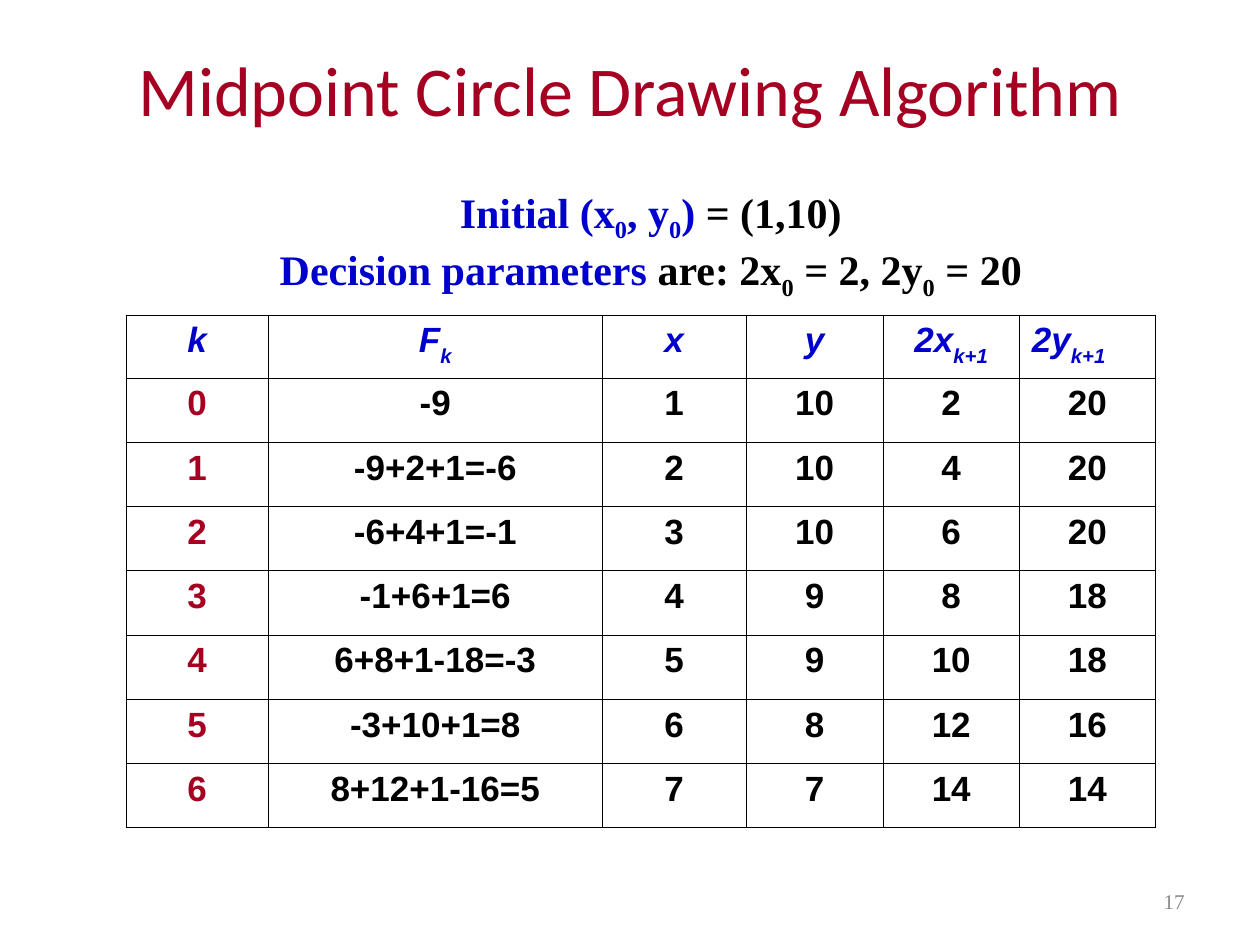
from dataclasses import dataclass
from lxml import etree
from pptx import Presentation
from pptx.dml.color import RGBColor
from pptx.enum.text import MSO_ANCHOR, PP_ALIGN
from pptx.oxml.ns import qn
from pptx.util import Inches, Pt

LEFT, CENTER, RIGHT = PP_ALIGN.LEFT, PP_ALIGN.CENTER, PP_ALIGN.RIGHT
TOP, MIDDLE = MSO_ANCHOR.TOP, MSO_ANCHOR.MIDDLE


@dataclass(frozen=True)
class Theme:
    red: str = "A50021"
    blue: str = "0000CC"
    black: str = "000000"
    gray: str = "898989"
    title_size: int = 40
    formula_size: int = 24
    table_size: int = 20
    number_size: int = 12
    title_font: str = "Calibri"
    text_font: str = "Times New Roman"
    table_font: str = "Arial"
    border_width: float = 0.45


theme = Theme()


def fill_paragraph(paragraph, pieces, font, size, align, bold=False, italic=False, drop=-25):
    """Write (text, colour) pieces; text between underscores is subscript."""
    paragraph.alignment = align
    paragraph.font.name = font
    paragraph.font.size = Pt(size)
    paragraph.font.bold = bold
    paragraph.font.italic = italic
    for text, color in pieces:
        for index, part in enumerate(text.split("_")):
            if not part:
                continue
            run = paragraph.add_run()
            run.text = part
            run.font.color.rgb = RGBColor.from_string(color)
            if index % 2:
                run.font._element.set("baseline", str(drop * 1000))


def add_text_frame(left, top, width, height, anchor):
    box = slide.shapes.add_textbox(Inches(left), Inches(top), Inches(width), Inches(height))
    box.text_frame.word_wrap = True
    box.text_frame.vertical_anchor = anchor
    return box.text_frame


presentation = Presentation()
presentation.slide_width = Inches(10)
presentation.slide_height = Inches(7.5)
slide = presentation.slides.add_slide(presentation.slide_layouts[6])

# Title
frame = add_text_frame(0.5, 0.08, 9, 1.25, MIDDLE)
fill_paragraph(frame.paragraphs[0], [("Midpoint Circle Drawing Algorithm", theme.red)],
               theme.title_font, theme.title_size, CENTER)

# Table of iterations
header = ["k", "F_k_", "x", "y", "2x_k+1_", "2y_k+1_"]
iterations = [
    ["0", "-9", "1", "10", "2", "20"],
    ["1", "-9+2+1=-6", "2", "10", "4", "20"],
    ["2", "-6+4+1=-1", "3", "10", "6", "20"],
    ["3", "-1+6+1=6", "4", "9", "8", "18"],
    ["4", "6+8+1-18=-3", "5", "9", "10", "18"],
    ["5", "-3+10+1=8", "6", "8", "12", "16"],
    ["6", "8+12+1-16=5", "7", "7", "14", "14"],
]
rows = [header] + iterations
column_widths = [1.13, 2.65, 1.14, 1.09, 1.08, 1.08]
table = slide.shapes.add_table(len(rows), len(header), Inches(1), Inches(2.5),
                               Inches(8.17), Inches(4.08)).table
table.first_row = False
table.horz_banding = False
for column, width in zip(table.columns, column_widths):
    column.width = Inches(width)

for row_index, values in enumerate(rows):
    is_header = row_index == 0
    table.rows[row_index].height = Inches(0.5 if is_header else 0.51)
    for column_index, value in enumerate(values):
        cell = table.cell(row_index, column_index)
        if is_header:
            color = theme.blue
        else:
            color = theme.red if column_index == 0 else theme.black
        last_header = is_header and column_index == len(header) - 1
        fill_paragraph(cell.text_frame.paragraphs[0], [(value, color)],
                       theme.table_font, theme.table_size, LEFT if last_header else CENTER,
                       bold=True, italic=is_header, drop=-30)
        properties = cell._tc.get_or_add_tcPr()
        for side in ("a:lnL", "a:lnR", "a:lnT", "a:lnB"):
            line = etree.SubElement(properties, qn(side), w=str(Pt(theme.border_width)))
            solid = etree.SubElement(line, qn("a:solidFill"))
            etree.SubElement(solid, qn("a:srgbClr"), val=theme.black)
        cell.fill.background()

# Slide number
frame = add_text_frame(7.17, 6.95, 2.33, 0.4, MIDDLE)
fill_paragraph(frame.paragraphs[0], [("17", theme.gray)],
               theme.text_font, theme.number_size, RIGHT)

# Starting values
frame = add_text_frame(0.83, 1.43, 8.67, 1.01, TOP)
formulas = [
    [("Initial (x_0_, y_0_)", theme.blue), (" = (1,10)", theme.black)],
    [("Decision parameters", theme.blue), (" are: 2x_0_ = 2, 2y_0_ = 20", theme.black)],
]
for index, pieces in enumerate(formulas):
    paragraph = frame.add_paragraph() if index else frame.paragraphs[0]
    fill_paragraph(paragraph, pieces, theme.text_font, theme.formula_size, CENTER, bold=True)

presentation.save("out.pptx")
